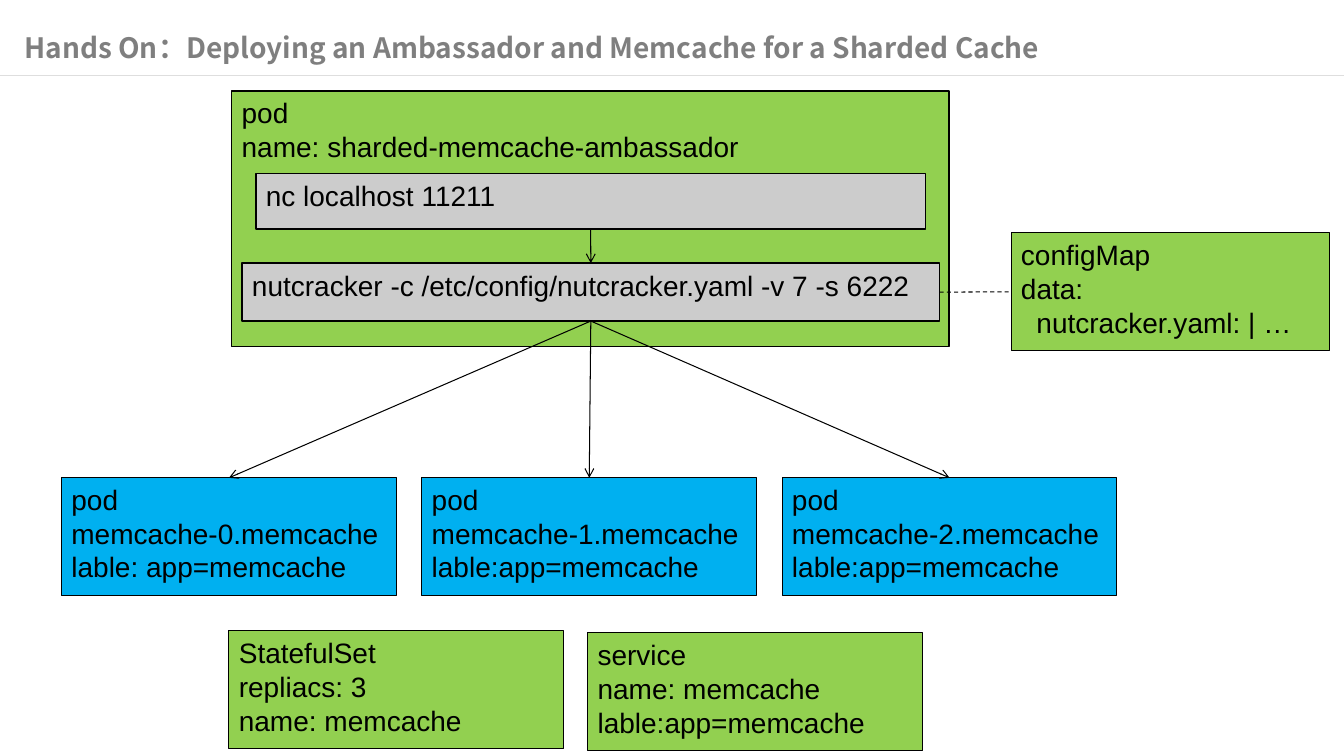
from dataclasses import dataclass

from lxml.etree import SubElement
from pptx import Presentation
from pptx.dml.color import RGBColor
from pptx.enum.dml import MSO_LINE
from pptx.enum.shapes import MSO_CONNECTOR, MSO_SHAPE
from pptx.enum.text import MSO_ANCHOR, MSO_AUTO_SIZE, PP_ALIGN
from pptx.oxml.ns import qn
from pptx.util import Cm, Pt


@dataclass(frozen=True)
class Theme:
    text: str = "000000"
    title: str = "7F7F7F"
    rule: str = "BFBFBF"
    green: str = "92D050"
    blue: str = "00B0F0"
    grey: str = "CCCCCC"
    size: int = 20
    font: str = "Arial"
    title_font: str = "Noto Sans CJK SC"
    thin: float = 0.75
    thick: float = 1


TOP, LEFT, BOTTOM, RIGHT = range(4)  # connection sites of a rectangle


class Diagram:
    def __init__(self, slide, theme):
        self.slide = slide
        self.theme = theme

    def style(self, p, font, color, bold=False):
        p.alignment = PP_ALIGN.LEFT
        p.font.name = font
        p.font.size = Pt(self.theme.size)
        p.font.bold = bold
        p.font.color.rgb = RGBColor.from_string(color)

    def title(self, text, x, y, w, h):
        s = self.slide.shapes.title
        s.left, s.top, s.width, s.height = Cm(x), Cm(y), Cm(w), Cm(h)
        tf = s.text_frame
        tf.text = text
        tf.word_wrap = True
        tf.auto_size = MSO_AUTO_SIZE.SHAPE_TO_FIT_TEXT
        tf.vertical_anchor = MSO_ANCHOR.TOP
        p = tf.paragraphs[0]
        p.line_spacing = 1.5
        self.style(p, self.theme.title_font, self.theme.title, bold=True)
        # The full-width colon takes the East Asian font
        r = p.runs[0]
        SubElement(r.font._element, qn("a:ea"), typeface=self.theme.title_font)

    def box(self, lines, x, y, w, h, fill, weight=None):
        s = self.slide.shapes.add_shape(MSO_SHAPE.RECTANGLE, Cm(x), Cm(y), Cm(w), Cm(h))
        s.shadow.inherit = False
        s.fill.solid()
        s.fill.fore_color.rgb = RGBColor.from_string(fill)
        s.line.color.rgb = RGBColor.from_string(self.theme.text)
        s.line.width = Pt(weight or self.theme.thin)
        tf = s.text_frame
        tf.word_wrap = True
        tf.vertical_anchor = MSO_ANCHOR.TOP
        tf.text = "\n".join(lines)
        for p in tf.paragraphs:
            self.style(p, self.theme.font, self.theme.text)
        return s

    def line(self, x1, y1, x2, y2, color, weight):
        c = self.slide.shapes.add_connector(
            MSO_CONNECTOR.STRAIGHT, Cm(x1), Cm(y1), Cm(x2), Cm(y2))
        c.line.color.rgb = RGBColor.from_string(color)
        c.line.width = Pt(weight)
        SubElement(c._element.spPr, qn("a:effectLst"))
        return c

    def rule(self, y, width):
        c = self.line(0, y, width, y, self.theme.rule, 0.5)
        color = c.line._ln.find(".//" + qn("a:srgbClr"))
        SubElement(color, qn("a:alpha"), val="50000")

    def link(self, start, start_site, end, end_site, dashed=False):
        c = self.line(0, 0, 0, 0, self.theme.text, self.theme.thin)
        c.begin_connect(start, start_site)
        c.end_connect(end, end_site)
        if dashed:
            c.line.dash_style = MSO_LINE.DASH
        else:
            SubElement(c.line._ln, qn("a:tailEnd"), type="arrow")


WIDTH = 33.87
CARD_W, CARD_H = 8.44, 2.97
POD_X, POD_STEP, POD_Y = 1.55, 9.08, 12.04

prs = Presentation()
prs.slide_width, prs.slide_height = Cm(WIDTH), Cm(19.05)
theme = Theme()
d = Diagram(prs.slides.add_slide(prs.slide_layouts[5]), theme)

# Heading
d.title("Hands On：Deploying an Ambassador and Memcache for a Sharded Cache",
        0.36, 0.23, 32.33, 1.4)
d.rule(1.9, WIDTH)

# Ambassador pod and its two processes
d.box(["pod", "name: sharded-memcache-ambassador"],
      5.84, 2.29, 18.08, 6.45, theme.green, theme.thick)
client = d.box(["nc localhost 11211"], 6.45, 4.37, 16.87, 1.4, theme.grey, theme.thick)
proxy = d.box(["nutcracker -c /etc/config/nutcracker.yaml -v 7 -s 6222"],
              6.1, 6.63, 17.58, 1.46, theme.grey, theme.thick)
d.link(client, BOTTOM, proxy, TOP)

# Memcache shards
labels = ["lable: app=memcache", "lable:app=memcache", "lable:app=memcache"]
for i, label in enumerate(labels):
    pod = d.box(["pod", f"memcache-{i}.memcache", label],
                POD_X + i * POD_STEP, POD_Y, CARD_W, CARD_H, theme.blue)
    d.link(proxy, BOTTOM, pod, TOP)

# Supporting resources
d.box(["StatefulSet", "repliacs: 3", "name: memcache"],
      5.77, 15.9, CARD_W, CARD_H, theme.green)
d.box(["service", "name: memcache", "lable:app=memcache"],
      14.81, 15.95, CARD_W, CARD_H, theme.green)
config = d.box(["configMap", "data:", "nutcracker.yaml: | …"],
               25.48, 5.87, 8.03, CARD_H, theme.green)
entry = config.text_frame.paragraphs[-1]
entry._p.get_or_add_pPr().set("marL", str(Cm(0.39)))
d.link(proxy, RIGHT, config, LEFT, dashed=True)

prs.save("out.pptx")
